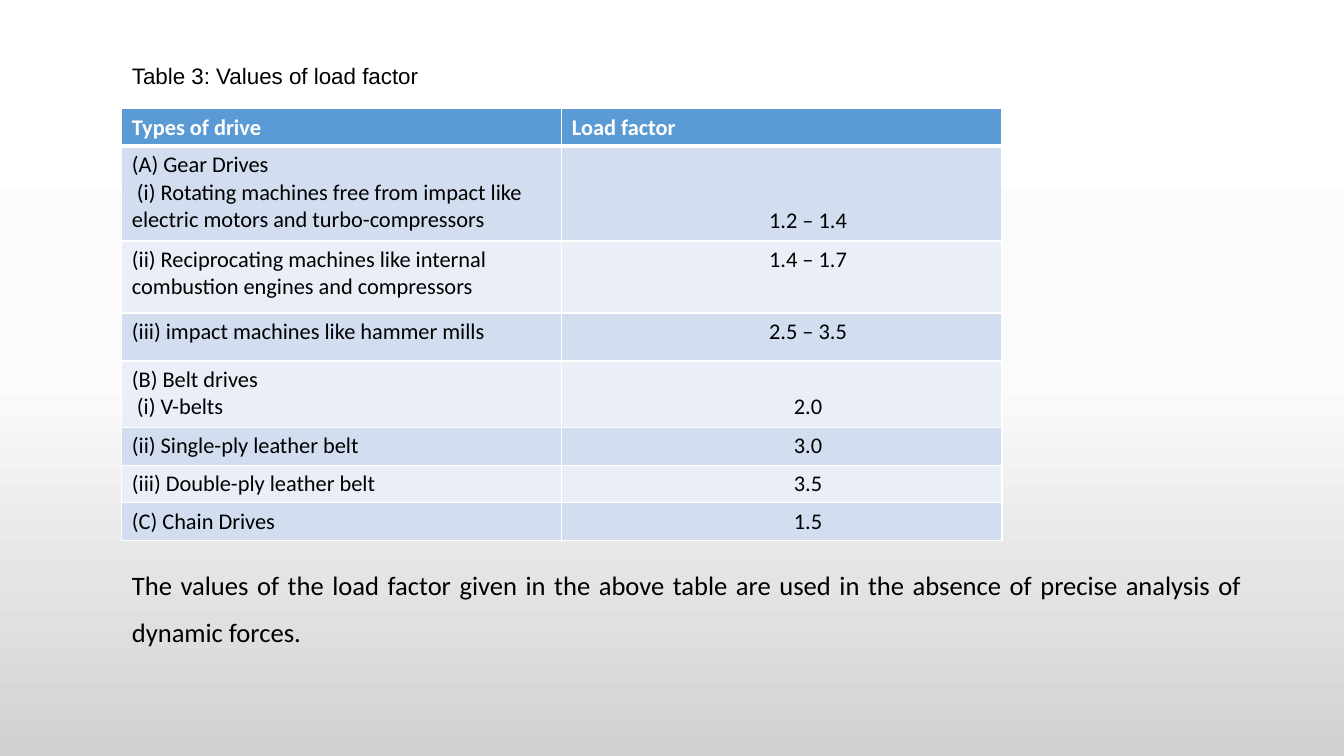
from copy import deepcopy
from dataclasses import dataclass

from lxml import etree
from pptx import Presentation
from pptx.dml.color import RGBColor
from pptx.enum.text import MSO_ANCHOR, MSO_AUTO_SIZE, PP_ALIGN
from pptx.oxml.ns import qn
from pptx.util import Cm, Pt

LEFT, CENTER, JUSTIFY = PP_ALIGN.LEFT, PP_ALIGN.CENTER, PP_ALIGN.JUSTIFY
TOP, MIDDLE, BOTTOM = MSO_ANCHOR.TOP, MSO_ANCHOR.MIDDLE, MSO_ANCHOR.BOTTOM
NO_FIT = MSO_AUTO_SIZE.NONE


@dataclass(frozen=True)
class Theme:
    caption_font: str = "Arial"
    font: str = "Calibri"
    table_size: int = 16
    note_size: int = 19
    text: str = "000000"
    white: str = "FFFFFF"
    header: str = "5B9BD5"
    bands: tuple = ("D2DEEF", "EAEFF7")
    background: tuple = ((0, "FFFFFF"), (0.5, "FBFBFB"), (1, "D1D1D1"))


# Table content: type of drive, load factor, row height in cm
HEADINGS = ("Types of drive", "Load factor", 0.94)
DRIVES = [
    ("(A) Gear Drives\n (i) Rotating machines free from impact like "
     "electric motors and turbo-compressors", "1.2 – 1.4", 2.39),
    ("(ii) Reciprocating machines like internal combustion engines "
     "and compressors", "1.4 – 1.7", 1.81),
    ("(iii) impact machines like hammer mills", "2.5 – 3.5", 1.21),
    ("(B) Belt drives\n (i) V-belts", "2.0", 1.68),
    ("(ii) Single-ply leather belt", "3.0", 0.94),
    ("(iii) Double-ply leather belt", "3.5", 0.94),
    ("(C) Chain Drives", "1.5", 0.94),
]


class SlideBuilder:
    def __init__(self, prs, theme):
        self.theme = theme
        self.s = prs.slides.add_slide(prs.slide_layouts[1])

    def background(self):
        fill = self.s.background.fill
        fill.gradient()
        fill.gradient_angle = 270
        stops = self.s.element.find(".//" + qn("a:gsLst"))
        stops.append(deepcopy(stops[0]))
        for stop, (position, color) in zip(fill.gradient_stops, self.theme.background):
            stop.position = position
            stop.color.rgb = RGBColor.from_string(color)

    def style(self, p, font, size, color, align=LEFT, bold=False):
        p.alignment = align
        p.font.name = font
        p.font.size = Pt(size)
        p.font.bold = bold
        p.font.color.rgb = RGBColor.from_string(color)

    def placeholder(self, sp, text, box, anchor):
        sp.left, sp.top, sp.width, sp.height = (Cm(v) for v in box)
        tf = sp.text_frame
        tf.word_wrap = True
        tf.auto_size = NO_FIT
        tf.vertical_anchor = anchor
        tf.text = text
        return tf.paragraphs[0]

    def caption(self, text, box):
        p = self.placeholder(self.s.shapes.title, text, box, MIDDLE)
        self.style(p, self.theme.caption_font, self.theme.table_size, self.theme.text)

    def note(self, text, box):
        p = self.placeholder(self.s.placeholders[1], text, box, TOP)
        self.style(p, self.theme.font, self.theme.note_size, self.theme.text, JUSTIFY)
        p.line_spacing = 1.45
        p.space_before = Pt(0)
        pPr = p._p.get_or_add_pPr()
        pPr.set("marL", "0")
        pPr.set("indent", "0")
        spacing = pPr.find(qn("a:spcBef"))
        spacing.addnext(etree.Element(qn("a:buNone")))

    def borders(self, cell, top, bottom):
        tcPr = cell._tc.get_or_add_tcPr()
        widths = {"a:lnL": 1, "a:lnR": 1, "a:lnT": top, "a:lnB": bottom}
        for i, (tag, width) in enumerate(widths.items()):
            line = etree.Element(qn(tag), w=str(Pt(width)))
            fill = etree.SubElement(line, qn("a:solidFill"))
            etree.SubElement(fill, qn("a:srgbClr"), val=self.theme.white)
            tcPr.insert(i, line)

    def cell(self, cell, text, fill, color, align=LEFT, bold=False):
        cell.fill.solid()
        cell.fill.fore_color.rgb = RGBColor.from_string(fill)
        cell.text = text
        for p in cell.text_frame.paragraphs:
            self.style(p, self.theme.font, self.theme.table_size, color, align, bold)

    def table(self, headings, rows, left, top, width):
        t = self.theme
        all_rows = [headings, *rows]
        height = sum(row[2] for row in all_rows)
        table = self.s.shapes.add_table(
            len(all_rows), 2, Cm(left), Cm(top), Cm(width), Cm(height)).table
        for r, (drive, factor, row_height) in enumerate(all_rows):
            table.rows[r].height = Cm(row_height)
            name, value = table.cell(r, 0), table.cell(r, 1)
            if r == 0:
                self.cell(name, drive, t.header, t.white, bold=True)
                self.cell(value, factor, t.header, t.white, bold=True)
            else:
                band = t.bands[(r - 1) % 2]
                self.cell(name, drive, band, t.text)
                self.cell(value, factor, band, t.text, CENTER)
                value.margin_left = Cm(1.57)
                # A factor lines up with the last line of its group
                if "\n" in drive:
                    value.vertical_anchor = BOTTOM
                    value.margin_bottom = Cm(0.17)
            for cell in (name, value):
                self.borders(cell, 3 if r == 1 else 1, 3 if r == 0 else 1)


def main():
    prs = Presentation()
    prs.slide_width, prs.slide_height = Cm(33.87), Cm(19.05)
    slide = SlideBuilder(prs, Theme())
    slide.background()

    # Caption, table and closing note share one left edge
    left = 3.07
    slide.caption("Table 3: Values of load factor", (left, 1.27, 22.18, 1.27))
    slide.table(HEADINGS, DRIVES, left, 2.74, 22.18)
    slide.note("The values of the load factor given in the above table are used "
               "in the absence of precise analysis of dynamic forces.",
               (left, 13.86, 28.47, 2.8))
    prs.save("out.pptx")


if __name__ == "__main__":
    main()
